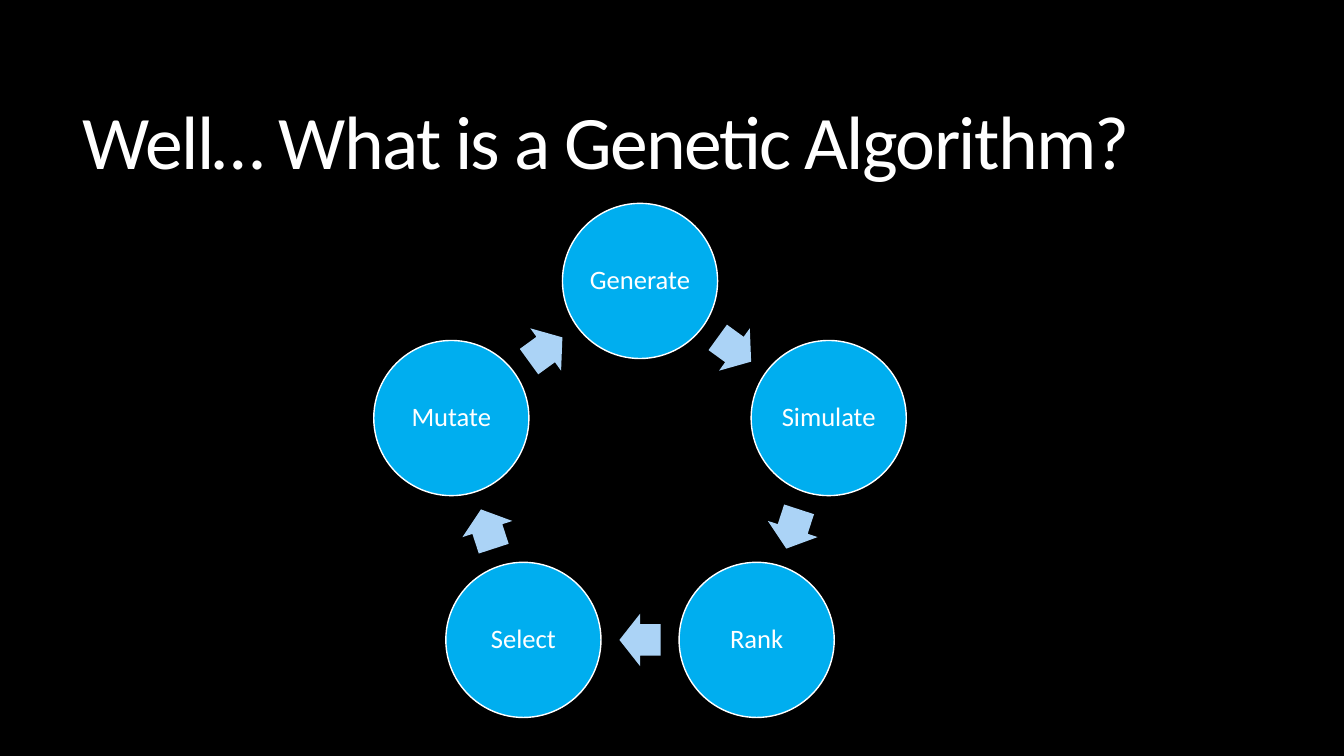
import math

from pptx import Presentation
from pptx.dml.color import RGBColor
from pptx.enum import shapes, text
from pptx.util import Cm, Pt

STAGES = ["Generate", "Simulate", "Rank", "Select", "Mutate"]
CENTRE_X, CENTRE_Y = 16.13, 12.08
RING_RADIUS = 5
STAGE_SIZE = 3.91
ARROW_LENGTH, ARROW_WIDTH = 1.04, 1.32


def colour(hex_code):
    return RGBColor.from_string(hex_code)


def write(frame, wording, size, align, line_spacing, inset=None, tracking=None):
    frame.word_wrap = True
    frame.auto_size = text.MSO_AUTO_SIZE.NONE
    frame.vertical_anchor = text.MSO_ANCHOR.MIDDLE
    if inset is not None:
        frame.margin_left = frame.margin_right = Cm(inset)
        frame.margin_top = frame.margin_bottom = Cm(inset)
    paragraph = frame.paragraphs[0]
    paragraph.alignment = align
    paragraph.line_spacing = line_spacing
    run = paragraph.add_run()
    run.text = wording
    run.font.name = "Calibri"
    run.font.size = Pt(size)
    run.font.color.rgb = colour("FFFFFF")
    if tracking is not None:
        run._r.get_or_add_rPr().set("spc", str(round(tracking * 100)))


def add_title(slide, wording):
    title = slide.shapes.title
    title.left, title.top = Cm(1.83), Cm(1.4)
    title.width, title.height = Cm(29.92), Cm(4.6)
    write(title.text_frame, wording, size=54, align=text.PP_ALIGN.LEFT,
          line_spacing=0.85, tracking=-1.2)


def add_on_ring(cycle, preset, angle, radius, width, height, fill):
    x = CENTRE_X + radius * math.sin(math.radians(angle))
    y = CENTRE_Y - radius * math.cos(math.radians(angle))
    piece = cycle.shapes.add_shape(preset, Cm(x - width / 2), Cm(y - height / 2),
                                   Cm(width), Cm(height))
    piece.shadow.inherit = False
    piece.fill.solid()
    piece.fill.fore_color.rgb = colour(fill)
    return piece


def add_stage(cycle, wording, angle):
    stage = add_on_ring(cycle, shapes.MSO_SHAPE.OVAL, angle, RING_RADIUS,
                        STAGE_SIZE, STAGE_SIZE, "00AEEF")
    stage.line.color.rgb = colour("FFFFFF")
    stage.line.width = Pt(1)
    write(stage.text_frame, wording, size=19, align=text.PP_ALIGN.CENTER,
          line_spacing=0.9, inset=0.08)


def add_arrow(cycle, angle, apothem):
    arrow = add_on_ring(cycle, shapes.MSO_SHAPE.RIGHT_ARROW, angle, apothem,
                        ARROW_LENGTH, ARROW_WIDTH, "ABD3F6")
    arrow.line.fill.background()
    arrow.adjustments[0] = 0.6
    arrow.adjustments[1] = 0.5
    arrow.rotation = angle


def add_cycle(slide, stages):
    cycle = slide.shapes.add_group_shape()
    step = 360 / len(stages)
    apothem = RING_RADIUS * math.cos(math.radians(step / 2))
    for index, wording in enumerate(stages):
        add_stage(cycle, wording, index * step)
        add_arrow(cycle, (index + 0.5) * step, apothem)


def main():
    deck = Presentation()
    deck.slide_width, deck.slide_height = Cm(33.87), Cm(19.05)
    slide = deck.slides.add_slide(deck.slide_layouts.get_by_name("Title Only"))
    slide.background.fill.solid()
    slide.background.fill.fore_color.rgb = colour("000000")
    add_title(slide, "Well… What is a Genetic Algorithm?")
    add_cycle(slide, STAGES)
    deck.save("out.pptx")


if __name__ == "__main__":
    main()
